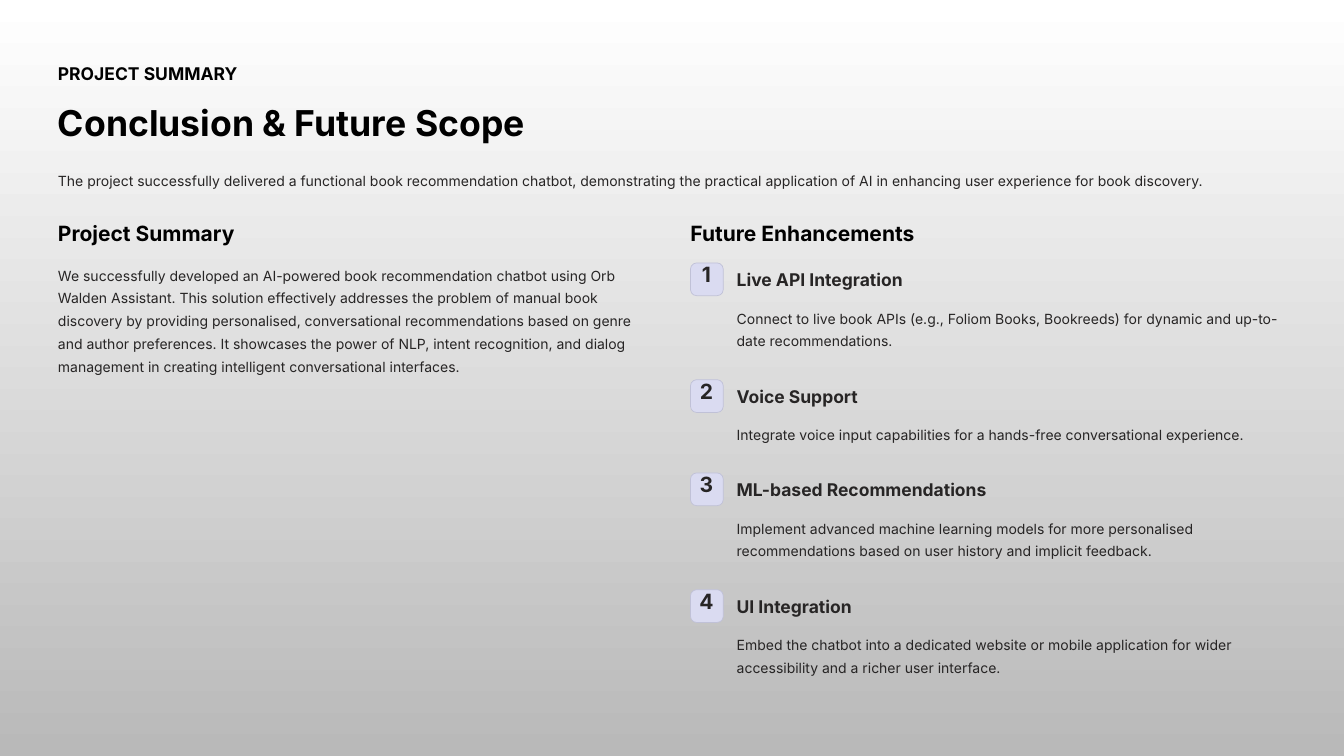
from pptx import Presentation
from pptx.dml.color import RGBColor
from pptx.enum.shapes import MSO_SHAPE
from pptx.enum.text import PP_ALIGN
from pptx.util import Inches, Pt

ROUND = MSO_SHAPE.ROUNDED_RECTANGLE
LEFT, CENTER = PP_ALIGN.LEFT, PP_ALIGN.CENTER

COLORS = {"black": "000000", "ink": "272525", "badge": "DADBF1",
          "edge": "C0C1D7", "top": "FFFFFF", "base": "B9B9B9"}

# Role: size, line spacing, bold, colour
STYLES = {
    "label": (15, 19, True, "black"),
    "title": (30.5, 38.5, True, "black"),
    "head": (18, 23, True, "black"),
    "number": (18, 18, True, "ink"),
    "name": (15, 19, True, "ink"),
    "body": (12, 19.5, False, "ink"),
}

ITEMS = [
    ("Live API Integration", 2.14, 2,
     "Connect to live book APIs (e.g., Foliom Books, Bookreeds) for dynamic "
     "and up-to-date recommendations."),
    ("Voice Support", 2.14, 1,
     "Integrate voice input capabilities for a hands-free conversational "
     "experience."),
    ("ML-based Recommendations", 3.06, 2,
     "Implement advanced machine learning models for more personalised "
     "recommendations based on user history and implicit feedback."),
    ("UI Integration", 2.14, 2,
     "Embed the chatbot into a dedicated website or mobile application for "
     "wider accessibility and a richer user interface."),
]

INTRO = ("The project successfully delivered a functional book recommendation "
         "chatbot, demonstrating the practical application of AI in enhancing "
         "user experience for book discovery.")
SUMMARY = ("We successfully developed an AI-powered book recommendation chatbot "
           "using Orb Walden Assistant. This solution effectively addresses the "
           "problem of manual book discovery by providing personalised, "
           "conversational recommendations based on genre and author "
           "preferences. It showcases the power of NLP, intent recognition, and "
           "dialog management in creating intelligent conversational interfaces.")


def color(name):
    return RGBColor.from_string(COLORS[name])


class Deck:
    def __init__(self, font):
        self.font = font
        self.deck = Presentation()
        self.deck.slide_width, self.deck.slide_height = Inches(16), Inches(9)
        self.slide = self.deck.slides.add_slide(self.deck.slide_layouts[6])

    def shade(self, top, base):
        """Fill the background with a vertical gradient."""
        fill = self.slide.background.fill
        fill.gradient()
        fill.gradient_angle = 270
        for stop, name, place in zip(fill.gradient_stops, (top, base), (0, 1)):
            stop.color.rgb = color(name)
            stop.position = place

    def text(self, words, role, x, y, w, h, wrap=False, align=LEFT):
        size, line, bold, ink = STYLES[role]
        box = self.slide.shapes.add_textbox(*map(Inches, (x, y, w, h)))
        frame = box.text_frame
        frame.margin_left = frame.margin_right = 0
        frame.margin_top = frame.margin_bottom = 0
        frame.word_wrap = wrap
        frame.text = words
        para = frame.paragraphs[0]
        para.alignment = align
        para.line_spacing = Pt(line)
        font = para.runs[0].font
        font.name, font.size, font.bold = self.font, Pt(size), bold
        font.color.rgb = color(ink)

    def badge(self, x, y, side):
        box = self.slide.shapes.add_shape(
            ROUND, *map(Inches, (x, y, side, side)))
        box.adjustments[0] = 0.187
        box.shadow.inherit = False
        box.fill.solid()
        box.fill.fore_color.rgb = color("badge")
        box.line.color.rgb = color("edge")
        box.line.width = Pt(0.6)

    def item(self, number, name, width, lines, body, x, y, h):
        self.badge(x, y, 0.39)
        self.text(str(number), "number", x + 0.06, y + 0.03, 0.26, 0.32,
                  align=CENTER)
        self.text(name, "name", x + 0.55, y + 0.06, width, 0.27)
        self.text(body, "body", x + 0.55, y + 0.49, 6.55, h, wrap=lines > 1)


def main():
    page = Deck("Inter")
    page.shade("top", "base")
    left, right = 0.69, 8.22
    page.text("PROJECT SUMMARY", "label", left, 0.74, 2.2, 0.27)
    page.text("Conclusion & Future Scope", "title", left, 1.18, 5.62, 0.54)
    page.text(INTRO, "body", left, 1.98, 14.63, 0.27)
    page.text("Project Summary", "head", left, 2.61, 2.57, 0.32)
    page.text(SUMMARY, "body", left, 3.11, 7.11, 1.37, wrap=True)
    page.text("Future Enhancements", "head", right, 2.61, 2.74, 0.32)

    y = 3.13
    for number, (name, width, lines, body) in enumerate(ITEMS, 1):
        h = 0.27 if lines == 1 else 0.55
        page.item(number, name, width, lines, body, right, y, h)
        y += h + 0.84
    page.deck.save("out.pptx")


if __name__ == "__main__":
    main()
